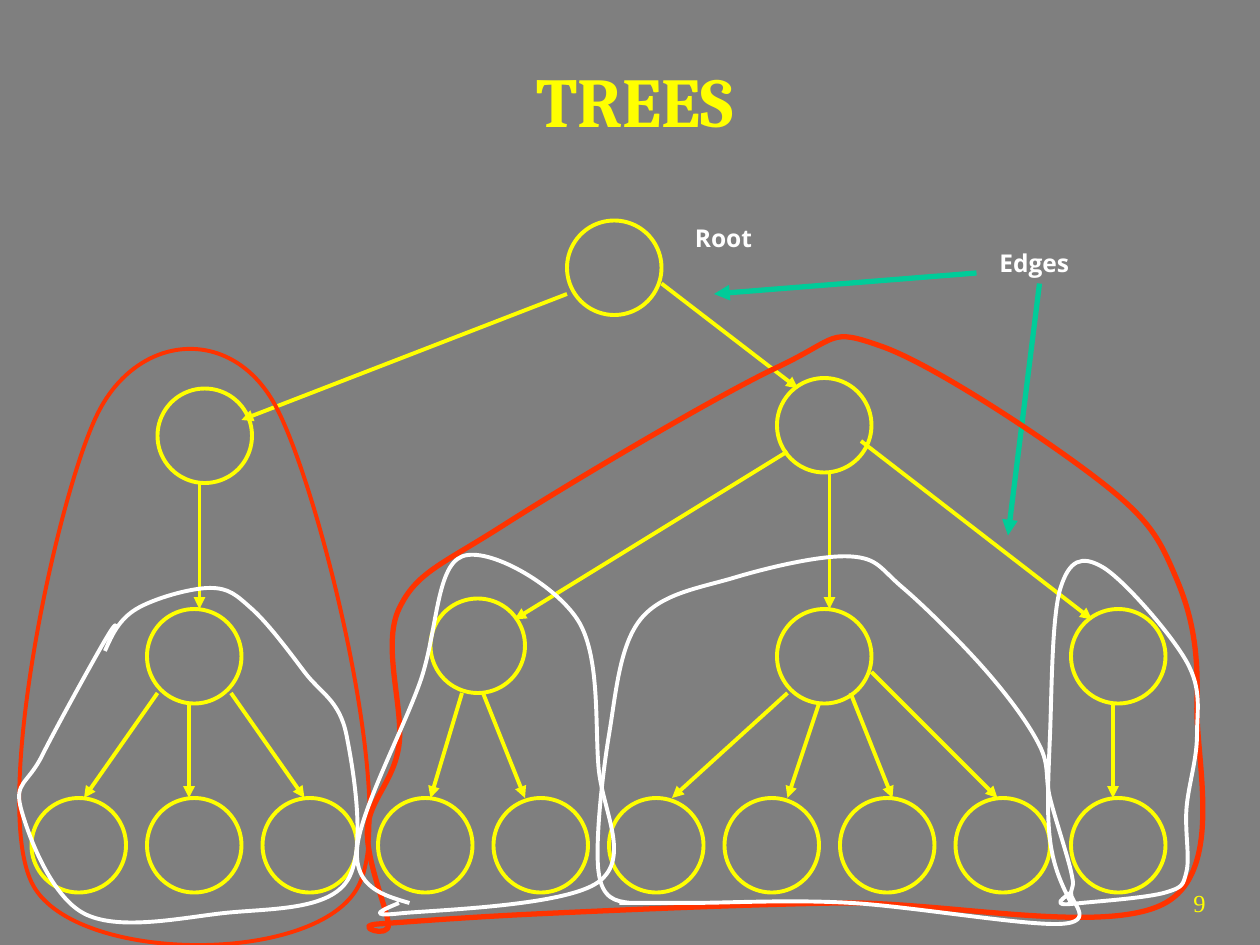
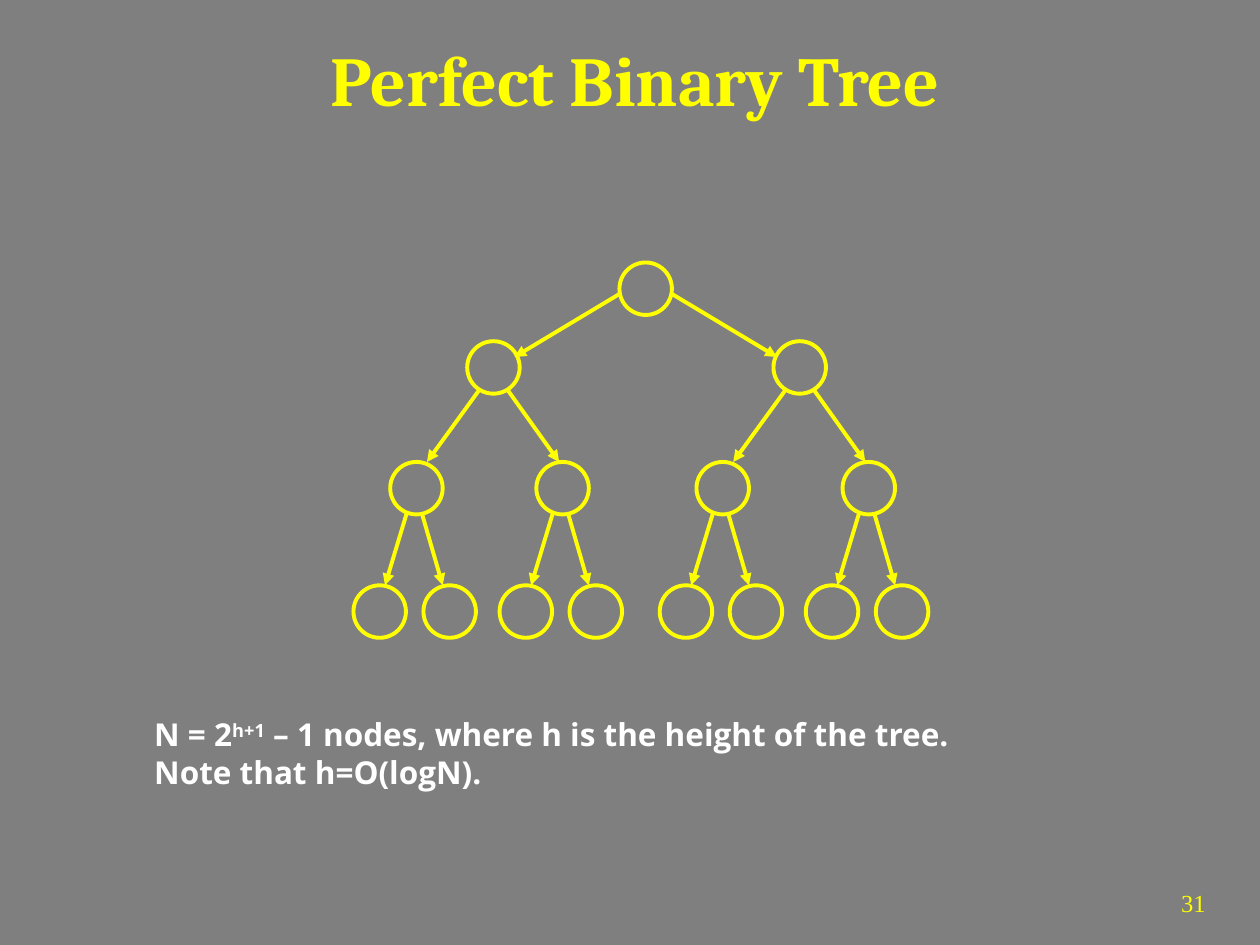
from lxml import etree
from pptx import Presentation
from pptx.dml.color import RGBColor
from pptx.enum.shapes import MSO_CONNECTOR, MSO_SHAPE
from pptx.enum.text import MSO_ANCHOR, PP_ALIGN
from pptx.oxml.ns import qn
from pptx.util import Pt

GRAY = RGBColor(0x7F, 0x7F, 0x7F)
YELLOW = RGBColor(0xFF, 0xFF, 0x00)
WHITE = RGBColor(0xFF, 0xFF, 0xFF)
GREEN = RGBColor(0x00, 0xCC, 0x99)
RED = RGBColor(0xFF, 0x33, 0x00)

# General tree: positions relative to the tree's box
NODE = 54
NODES = [(66 * i, 330) for i in range(10)] + [
    (66, 222), (228, 216), (426, 222), (594, 222), (72, 96), (426, 90), (306, 0)]
EDGES = [
    (306, 42, 120, 114), (360, 36, 438, 96),
    (96, 150, 96, 222), (432, 132, 276, 228), (456, 144, 456, 222), (474, 126, 606, 228),
    (72, 270, 30, 330), (90, 276, 90, 330), (114, 270, 156, 330),
    (246, 270, 228, 330), (258, 270, 282, 330),
    (432, 270, 366, 330), (450, 276, 432, 330), (468, 270, 492, 330), (480, 258, 552, 330),
    (618, 276, 618, 330)]

# Hand-drawn rings round the subtrees: points, colour, line width, closed
LEFT_TREE = [(19, 506), (56, 236), (157, 231), (205, 506)]
RIGHT_TREE = [
    (222, 528), (210, 474), (228, 426), (228, 348), (288, 300), (444, 210), (504, 198),
    (630, 276), (672, 330), (684, 402), (666, 516), (480, 516), (312, 522), (216, 528)]
THREE_LEAVES = [
    (60, 372), (78, 348), (120, 336), (144, 348), (174, 384), (198, 420), (198, 504),
    (126, 522), (48, 522), (12, 462), (24, 432), (60, 366), (66, 360)]
TWO_LEAVES = [
    (234, 516), (204, 486), (240, 390), (264, 318), (330, 354), (342, 438), (342, 504),
    (228, 522), (228, 516)]
FOUR_LEAVES = [
    (360, 516), (342, 498), (348, 420), (366, 354), (420, 330), (486, 318), (516, 336),
    (564, 384), (594, 426), (600, 456), (612, 498), (612, 510), (606, 528), (486, 516),
    (396, 516), (354, 516)]
ONE_LEAF = [
    (612, 516), (600, 480), (600, 420), (606, 336), (630, 324), (678, 378), (684, 420),
    (678, 462), (678, 498), (666, 510), (618, 516), (606, 516), (612, 510)]
RINGS = [(LEFT_TREE, RED, 2.25, True), (RIGHT_TREE, RED, 3, True)] + [
    (ring, WHITE, 2.25, False) for ring in (THREE_LEAVES, TWO_LEAVES, FOUR_LEAVES, ONE_LEAF)]

# Perfect tree, per level: drop to the children, edge start and end heights,
# then for each child its offset and the edge's start and end from the parent's centre
SMALL_NODE = 30
LEVELS = [
    (45, 18, 54, [(-87, -15, -75), (88, 15, 75)]),
    (69, 27, 69, [(-44, -7.5, -38), (39.5, 7.5, 37.5)]),
    (70.5, 29, 70.5, [(-21, -5.5, -18), (19, 3, 15)])]


def add_text(s, left, top, width, height, lines, font, size, color,
             bold=True, align=PP_ALIGN.LEFT, wrap=False, anchor=MSO_ANCHOR.TOP):
    """Each line is a list of (text, baseline) runs."""
    tf = s.shapes.add_textbox(Pt(left), Pt(top), Pt(width), Pt(height)).text_frame
    tf.word_wrap = wrap
    tf.vertical_anchor = anchor
    for i, line in enumerate(lines):
        p = tf.add_paragraph() if i else tf.paragraphs[0]
        p.alignment = align
        p.font.name, p.font.size, p.font.bold = font, Pt(size), bold
        p.font.color.rgb = color
        for text, baseline in line:
            r = p.add_run()
            r.text = text
            if baseline:
                r.font._element.set("baseline", str(baseline * 1000))


def set_outline(sp, color, width):
    sp.shadow.inherit = False
    sp.fill.background()
    sp.line.color.rgb = color
    sp.line.width = Pt(width)


def add_node(s, left, top, size):
    sp = s.shapes.add_shape(MSO_SHAPE.OVAL, Pt(left), Pt(top), Pt(size), Pt(size))
    set_outline(sp, YELLOW, 2.25)


def add_arrow(s, x1, y1, x2, y2, color=YELLOW, width=2.25):
    sp = s.shapes.add_connector(MSO_CONNECTOR.STRAIGHT, Pt(x1), Pt(y1), Pt(x2), Pt(y2))
    sp.line.color.rgb = color
    sp.line.width = Pt(width)
    etree.SubElement(sp.line._get_or_add_ln(), qn("a:tailEnd"), type="triangle")
    etree.SubElement(sp._element.spPr, qn("a:effectLst"))


def bezier_controls(points, closed):
    """Control points of a smooth curve: each tangent follows the two neighbours."""
    n = len(points)
    last = n if closed else n - 1

    def control(i, sign):
        (x0, y0), (x, y), (x1, y1) = (points[(i + k) % n] for k in (-1, 0, 1))
        return x + sign * (x1 - x0) / 6, y + sign * (y1 - y0) / 6

    def middle(a, b):
        return (a[0] + b[0]) / 2, (a[1] + b[1]) / 2

    pairs = [[control(i, 1), control(i + 1, -1)] for i in range(last)]
    if not closed:
        pairs[0][0] = middle(points[0], pairs[0][1])
        pairs[-1][1] = middle(pairs[-1][0], points[-1])
    return pairs


def add_curve(s, points, color, width, closed):
    corners = [(Pt(x), Pt(y)) for x, y in points]
    left, top = (min(axis) for axis in zip(*corners))
    builder = s.shapes.build_freeform(*corners[0])
    builder.add_line_segments(corners[1:] + corners[:1] * closed, close=closed)
    sp = builder.convert_to_shape()
    set_outline(sp, color, width)
    # Turn the straight segments into curves
    segments = list(sp._element.iter(qn("a:lnTo")))
    for segment, controls in zip(segments, bezier_controls(points, closed)):
        segment.tag = qn("a:cubicBezTo")
        for i, (x, y) in enumerate(controls):
            pt = segment.makeelement(qn("a:pt"), {"x": str(Pt(x) - left), "y": str(Pt(y) - top)})
            segment.insert(i, pt)


def add_base(prs, title, title_top, number):
    """Background, slide number and title."""
    s = prs.slides.add_slide(prs.slide_layouts[6])
    s.background.fill.solid()
    s.background.fill.fore_color.rgb = GRAY
    add_text(s, 624, 504, 72, 36, [[(number, 0)]], "Times New Roman", 14, YELLOW,
             bold=False, align=PP_ALIGN.RIGHT, wrap=True)
    add_text(s, 30, title_top, 666, 78, [[(title, 0)]], "Cambria", 40, YELLOW,
             align=PP_ALIGN.CENTER, wrap=True, anchor=MSO_ANCHOR.MIDDLE)
    return s


def draw_general_tree(s, left, top):
    for x, y in NODES:
        add_node(s, left + x, top + y, NODE)
    for x1, y1, x2, y2 in EDGES:
        add_arrow(s, left + x1, top + y1, left + x2, top + y2)


def draw_labels(s, left, top):
    for text, x, y, width in [("Root", 0, 0, 47), ("Edges", 174, 14, 55)]:
        add_text(s, left + x, top + y, width, 24.5, [[(text, 0)]], "Open Sans", 14, WHITE)
    for x1, y1, x2, y2 in [(168, 32, 18, 44), (204, 38, 186, 182)]:
        add_arrow(s, left + x1, top + y1, left + x2, top + y2, GREEN, 3)


def draw_rings(s, left, top):
    for points, color, width, closed in RINGS:
        add_curve(s, [(left + x, top + y) for x, y in points], color, width, closed)


def draw_perfect_tree(s, center, top, level=0):
    add_node(s, center - SMALL_NODE / 2, top, SMALL_NODE)
    if level == len(LEVELS):
        return
    drop, start_y, end_y, children = LEVELS[level]
    for offset, start_x, end_x in children:
        add_arrow(s, center + start_x, top + start_y, center + end_x, top + end_y)
        draw_perfect_tree(s, center + offset, top + drop, level + 1)


def main():
    prs = Presentation()
    prs.slide_width, prs.slide_height = Pt(720), Pt(540)

    # Trees, with their subtrees ringed
    s = add_base(prs, "TREES", 18, "9")
    draw_general_tree(s, 18, 126)
    draw_labels(s, 390, 124)
    draw_rings(s, 0, 0)

    # Perfect binary tree and its node count
    s = add_base(prs, "Perfect Binary Tree", 6, "31")
    draw_perfect_tree(s, 369, 150)
    add_text(s, 81, 405, 470, 50.5, [
        [("N = 2", 0), ("h+1", 30), (" – 1 nodes, where h is the height of the tree.", 0)],
        [("Note that h=O(logN).", 0)]], "Open Sans", 18, WHITE)

    prs.save("out.pptx")


if __name__ == "__main__":
    main()
